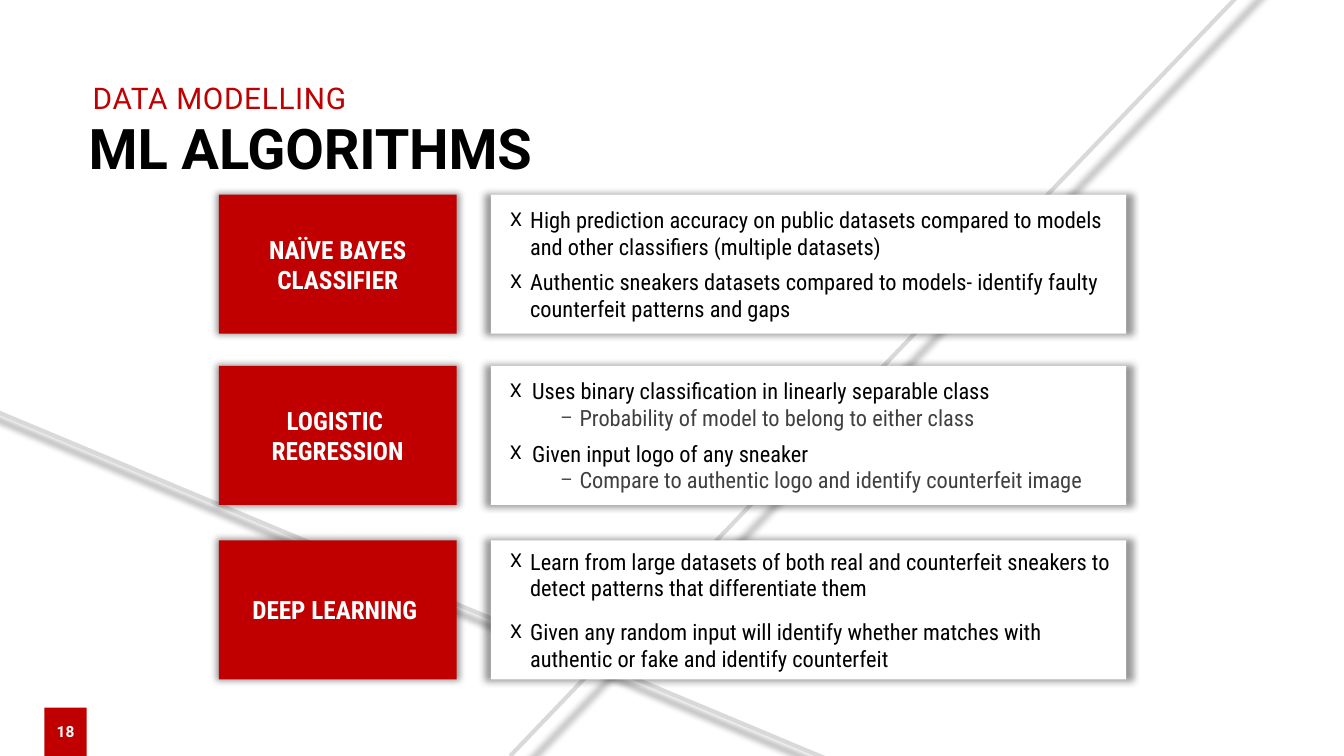
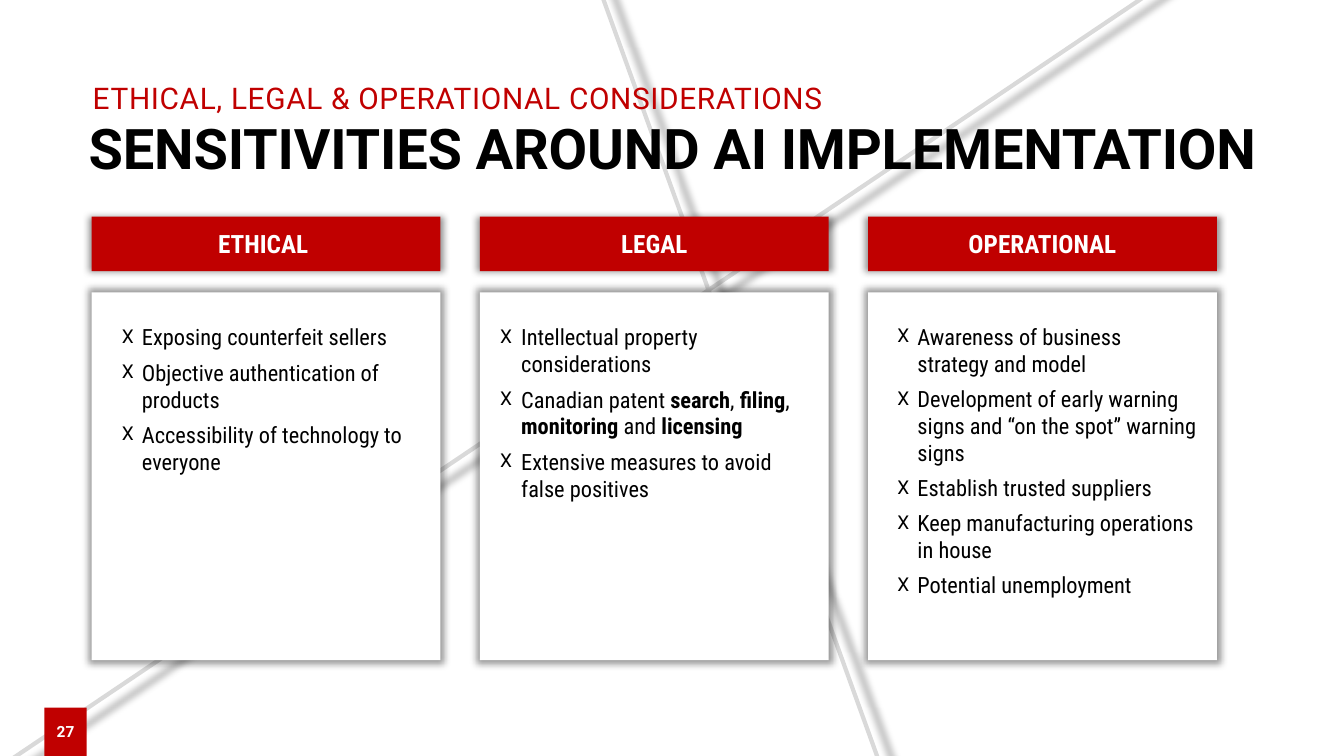
"""Build two slides on sneaker authentication: algorithms and AI sensitivities."""
from lxml import etree
from pptx import Presentation, util as u
from pptx.dml.color import RGBColor
from pptx.enum import shapes, text
from pptx.oxml.ns import qn

COLORS = {"red": "C00000", "black": "000000", "white": "FFFFFF",
          "grey": "404040", "band": "D9D9D9"}
HEAD = {"size": 18, "name": "Roboto Condensed", "color": "white", "bold": True}
BODY = {"size": 16, "name": "Roboto Condensed", "color": "black"}
SUB = {**BODY, "color": "grey"}
TITLE = {"size": 40, "name": "Roboto", "color": "black", "bold": True}
KICKER = {"size": 21.3, "name": "Roboto", "color": "red"}
PAGE = {"size": 11, "name": "Roboto", "color": "white", "bold": True}
INSETS = (0.1, 0.05, 0.1, 0.05)
MIDDLE, TOP = text.MSO_ANCHOR.MIDDLE, text.MSO_ANCHOR.TOP

ALGORITHMS = {
    "page": "18", "kicker": "DATA MODELLING", "title": "ML ALGORITHMS",
    "lines": [(5.06, 7.5, 12.43, -0.2), (8.8, 7.78, -0.52, 3.88)],
    "rows": [
        {"top": 1.93, "head": ["NAÏVE BAYES CLASSIFIER"], "indent": (0.29, -0.2), "after": 6,
         "items": ["High prediction accuracy on public datasets compared to models "
                   "and other classifiers (multiple datasets)",
                   "Authentic sneakers datasets compared to models- identify faulty "
                   "counterfeit patterns and gaps"]},
        {"top": 3.63, "head": ["LOGISTIC ", "REGRESSION"], "indent": (0.31, -0.22), "after": 0,
         "items": ["Uses binary classification in linearly separable class",
                   ("Probability of model to belong to either class",),
                   "Given input logo of any sneaker",
                   ("Compare to authentic logo and identify counterfeit image",)]},
        {"top": 5.36, "head": ["DEEP LEARNING "], "indent": (0.29, -0.2), "after": 12,
         "items": ["Learn from large datasets of both real and counterfeit sneakers to "
                   "detect patterns that differentiate them",
                   "Given any random input will identify whether matches with "
                   "authentic or fake and identify counterfeit"]},
    ],
}
SENSITIVITIES = {
    "page": "27", "kicker": "ETHICAL, LEGAL & OPERATIONAL CONSIDERATIONS",
    "title": "SENSITIVITIES AROUND AI IMPLEMENTATION",
    "lines": [(-0.27, 7.79, 12.46, -0.78), (8.8, 7.78, 5.94, -0.13)],
    "columns": [
        {"head": "ETHICAL ", "indent": (0.4, -0.2), "insets": (0.1, 0.31, 0.2, 0.05),
         "anchor": TOP,
         "items": ["Exposing counterfeit sellers", "Objective authentication of products",
                   "Accessibility of technology to everyone"]},
        {"head": "LEGAL", "indent": (0.41, -0.21), "insets": (0, 0.31, 0.2, 0.05),
         "anchor": TOP,
         "items": ["Intellectual property considerations",
                   "Canadian patent *search*, *filing*, *monitoring* and *licensing*",
                   "Extensive measures to avoid false positives"]},
        {"head": "OPERATIONAL", "indent": (0.29, -0.2), "insets": (0.2, 0, 0.2, 0.31),
         "anchor": MIDDLE,
         "items": ["Awareness of business strategy and model",
                   "Development of early warning signs and “on the spot” warning signs",
                   "Establish trusted suppliers", "Keep manufacturing operations in house",
                   "Potential unemployment"]},
    ],
}


def rgb(name):
    return RGBColor.from_string(COLORS[name])


def inches(values):
    return [u.Inches(v) for v in values]


def child(parent, tag, **attrs):
    return etree.SubElement(parent, qn(tag), {k: str(v) for k, v in attrs.items()})


def soft_shadow(effects):
    shadow = child(effects, "a:outerShdw", blurRad=u.Pt(5), sx=102000, sy=102000,
                   algn="ctr", rotWithShape=0)
    child(child(shadow, "a:srgbClr", val=COLORS["black"]), "a:alpha", val=40000)


def setup_frame(sp, insets, anchor):
    tf = sp.text_frame
    tf.word_wrap, tf.vertical_anchor = True, anchor
    for side, value in zip(("left", "top", "right", "bottom"), inches(insets)):
        setattr(tf, f"margin_{side}", value)
    return tf


def add_paragraph(tf, words, style, spacing=None, **fmt):
    """Write one paragraph; parts between asterisks are bold."""
    p = tf.paragraphs[0] if not tf.paragraphs[0].runs else tf.add_paragraph()
    for key, value in fmt.items():
        setattr(p, key, value)
    for i, part in enumerate(words.split("*")):
        if part:
            r = p.add_run()
            r.text = part
            r.font.size, r.font.name = u.Pt(style["size"]), style["name"]
            r.font.bold = style.get("bold", False) or i % 2 == 1
            r.font.color.rgb = rgb(style["color"])
            if spacing is not None:
                r.font._element.set("spc", str(spacing))
    return p


def add_bullet(tf, words, style, mark, indent, **fmt):
    p = add_paragraph(tf, words, style, alignment=text.PP_ALIGN.LEFT, **fmt)
    pPr = p._p.get_or_add_pPr()
    for key, value in zip(("marL", "indent"), inches(indent)):
        pPr.set(key, str(value))
    child(pPr, "a:buSzPct", val=85000)
    child(pPr, "a:buFont", typeface="Roboto")
    child(pPr, "a:buChar", char=mark)


def add_box(s, at, fill, insets=INSETS, anchor=MIDDLE, shadow=True):
    sp = s.shapes.add_shape(shapes.MSO_SHAPE.RECTANGLE, *inches(at))
    sp.fill.solid()
    sp.fill.fore_color.rgb = rgb(fill)
    sp.line.fill.background()
    sp.shadow.inherit = False
    if shadow:
        soft_shadow(sp._element.spPr.find(qn("a:effectLst")))
    return setup_frame(sp, insets, anchor)


def add_heading(s, at, lines, style=HEAD, **fmt):
    tf = add_box(s, at, "red", **fmt)
    for line in lines:
        add_paragraph(tf, line, style, alignment=text.PP_ALIGN.CENTER)


def add_caption(s, at, words, style, spacing, anchor):
    tf = setup_frame(s.shapes.add_textbox(*inches(at)), (0, 0.01, 0, 0), anchor)
    p = add_paragraph(tf, words, style, spacing)
    p._p.get_or_add_pPr().set("marL", str(u.Inches(0.01)))


def add_base(prs, content):
    s = prs.slides.add_slide(prs.slide_layouts[6])
    for ends in content["lines"]:
        line = s.shapes.add_connector(shapes.MSO_CONNECTOR.STRAIGHT, *inches(ends))
        line.line.color.rgb, line.line.width = rgb("band"), u.Pt(3)
        soft_shadow(child(line._element.spPr, "a:effectLst"))
    add_caption(s, (0.87, 1.12, 11.76, 0.68), content["title"], TITLE, -10, TOP)
    add_caption(s, (0.91, 0.78, 8.59, 0.37), content["kicker"], KICKER, 50, MIDDLE)
    add_heading(s, (0.44, 7.02, 0.42, 0.48), [content["page"]], PAGE, shadow=False)
    return s


def build_algorithms(prs):
    s = add_base(prs, ALGORITHMS)
    height = 1.38
    for row in ALGORITHMS["rows"]:
        add_heading(s, (2.17, row["top"], 2.36, height), row["head"])
        tf = add_box(s, (4.87, row["top"], 6.3, height), "white")
        for item in row["items"]:
            if isinstance(item, tuple):
                add_bullet(tf, item[0], SUB, "–", (0.78, -0.19), level=1,
                           space_after=u.Pt(6))
            else:
                add_bullet(tf, item, BODY, "X", row["indent"],
                           space_after=u.Pt(row["after"]))


def build_sensitivities(prs):
    s = add_base(prs, SENSITIVITIES)
    left, width, pitch = 0.91, 3.46, 3.85
    for i, column in enumerate(SENSITIVITIES["columns"]):
        x = left + i * pitch
        add_heading(s, (x, 2.15, width, 0.54), [column["head"]])
        tf = add_box(s, (x, 2.9, width, 3.65), "white", column["insets"], column["anchor"])
        for j, item in enumerate(column["items"]):
            add_bullet(tf, item, BODY, "X", column["indent"],
                       space_before=u.Pt(3 if j else 0), space_after=u.Pt(3))


def main():
    prs = Presentation()
    prs.slide_width, prs.slide_height = inches((13.33, 7.5))
    build_algorithms(prs)
    build_sensitivities(prs)
    prs.save("out.pptx")


if __name__ == "__main__":
    main()
